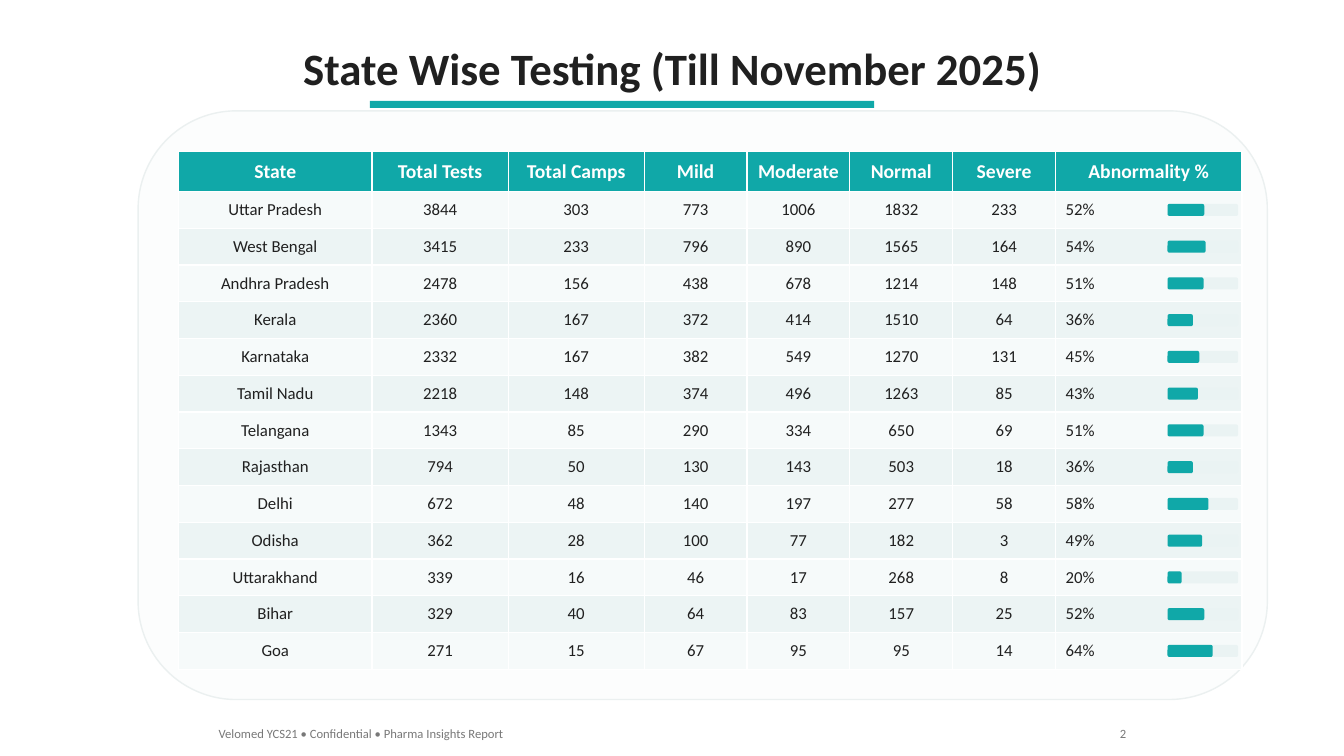
from pptx import Presentation
from pptx.dml.color import RGBColor
from pptx.enum.shapes import MSO_SHAPE
from pptx.enum.text import MSO_ANCHOR, MSO_AUTO_SIZE, PP_ALIGN
from pptx.util import Pt

EMU_PER_PX = 9144
FONT = "Calibri"
TEAL = RGBColor(0x10, 0xA8, 0xA8)
WHITE = RGBColor(0xFF, 0xFF, 0xFF)
INK = RGBColor(0x20, 0x20, 0x20)
GREY = RGBColor(0x78, 0x78, 0x78)
CARD = RGBColor(0xFC, 0xFD, 0xFD)
CARD_EDGE = RGBColor(0xEB, 0xF0, 0xF0)
TRACK = RGBColor(0xEA, 0xF3, 0xF3)
STRIPES = (RGBColor(0xF6, 0xFA, 0xFA), RGBColor(0xEC, 0xF4, 0xF4))

TABLE_LEFT, TABLE_TOP = 177, 150
HEADER_HEIGHT, BODY_HEIGHT = 40, 474
COLUMN_WIDTHS = (192, 135, 135, 102, 102, 102, 102, 185)
BAR_LEFT, BAR_WIDTH, BAR_HEIGHT = 1158, 70, 12

HEADINGS = ("State", "Total Tests", "Total Camps", "Mild", "Moderate",
            "Normal", "Severe", "Abnormality %")
STATES = (
    ("Uttar Pradesh", 3844, 303, 773, 1006, 1832, 233, 52),
    ("West Bengal", 3415, 233, 796, 890, 1565, 164, 54),
    ("Andhra Pradesh", 2478, 156, 438, 678, 1214, 148, 51),
    ("Kerala", 2360, 167, 372, 414, 1510, 64, 36),
    ("Karnataka", 2332, 167, 382, 549, 1270, 131, 45),
    ("Tamil Nadu", 2218, 148, 374, 496, 1263, 85, 43),
    ("Telangana", 1343, 85, 290, 334, 650, 69, 51),
    ("Rajasthan", 794, 50, 130, 143, 503, 18, 36),
    ("Delhi", 672, 48, 140, 197, 277, 58, 58),
    ("Odisha", 362, 28, 100, 77, 182, 3, 49),
    ("Uttarakhand", 339, 16, 46, 17, 268, 8, 20),
    ("Bihar", 329, 40, 64, 83, 157, 25, 52),
    ("Goa", 271, 15, 67, 95, 95, 14, 64),
)


def px(length):
    return round(length * EMU_PER_PX)


class PageBuilder:
    def __init__(self, deck, font):
        self.font = font
        self.page = deck.slides.add_slide(deck.slide_layouts[5])

    def add_text(self, frame, text, size, color, bold=False, align=PP_ALIGN.CENTER):
        para = frame.paragraphs[0]
        para.alignment = align
        span = para.add_run()
        span.text = text
        values = {"name": self.font, "size": Pt(size), "bold": bold}
        for name, value in values.items():
            setattr(span.font, name, value)
        span.font.color.rgb = color

    def fit(self, frame):
        values = {"word_wrap": False, "vertical_anchor": MSO_ANCHOR.TOP,
                  "auto_size": MSO_AUTO_SIZE.SHAPE_TO_FIT_TEXT}
        for name, value in values.items():
            setattr(frame, name, value)

    def title(self, text, left, top, width, height):
        box = self.page.shapes.title
        values = {"left": left, "top": top, "width": width, "height": height}
        for name, value in values.items():
            setattr(box, name, px(value))
        self.fit(box.text_frame)
        self.add_text(box.text_frame, text, 32, INK, bold=True)

    def label(self, text, left, top, width, height, align):
        box = self.page.shapes.add_textbox(px(left), px(top), px(width), px(height))
        self.fit(box.text_frame)
        self.add_text(box.text_frame, text, 9, GREY, align=align)

    def shape(self, kind, left, top, width, height, fill, edge=None):
        shape = self.page.shapes.add_shape(
            kind, px(left), px(top), px(width), px(height))
        shape.shadow.inherit = False
        shape.fill.solid()
        shape.fill.fore_color.rgb = fill
        if edge is None:
            shape.line.fill.background()
        else:
            shape.line.color.rgb = edge
            shape.line.width = Pt(1)

    def cell(self, cell, text, fill, **text_format):
        cell.fill.solid()
        cell.fill.fore_color.rgb = fill
        cell.vertical_anchor = MSO_ANCHOR.MIDDLE
        self.add_text(cell.text_frame, text, **text_format)

    def table(self, left, top, widths, header_height, row_height):
        height = header_height + row_height * len(STATES)
        table = self.page.shapes.add_table(
            len(STATES) + 1, len(widths),
            px(left), px(top), px(sum(widths)), px(height)).table
        for column, width in zip(table.columns, widths):
            column.width = px(width)
        for index, row in enumerate(table.rows):
            row.height = px(row_height if index else header_height)
        for column, heading in enumerate(HEADINGS):
            self.cell(table.cell(0, column), heading, TEAL,
                      size=14, color=WHITE, bold=True)
        for index, (*values, percent) in enumerate(STATES):
            fill = STRIPES[index % 2]
            for column, value in enumerate(values):
                self.cell(table.cell(index + 1, column), str(value), fill,
                          size=12, color=INK)
            self.cell(table.cell(index + 1, len(values)), f"{percent}%", fill,
                      size=12, color=INK, align=PP_ALIGN.LEFT)

    def bar(self, top, percent):
        for width, fill in ((BAR_WIDTH, TRACK), (BAR_WIDTH * percent / 100, TEAL)):
            self.shape(MSO_SHAPE.ROUNDED_RECTANGLE, BAR_LEFT, top,
                       width, BAR_HEIGHT, fill)


def main():
    deck = Presentation()
    deck.slide_width, deck.slide_height = px(1333), px(750)
    builder = PageBuilder(deck, FONT)
    builder.title("State Wise Testing (Till November 2025)", 287, 35, 760, 64)
    builder.shape(MSO_SHAPE.RECTANGLE, 367, 100, 500, 7, TEAL)
    builder.shape(MSO_SHAPE.ROUNDED_RECTANGLE, 137, 110, 1120, 584, CARD, CARD_EDGE)

    row_height = BODY_HEIGHT / len(STATES)
    builder.table(TABLE_LEFT, TABLE_TOP, COLUMN_WIDTHS, HEADER_HEIGHT, row_height)
    first_bar = TABLE_TOP + HEADER_HEIGHT + (row_height - BAR_HEIGHT) / 2
    for index, state in enumerate(STATES):
        builder.bar(first_bar + index * row_height, state[-1])

    builder.label("Velomed YCS21 • Confidential • Pharma Insights Report",
                  207, 715, 305, 25, PP_ALIGN.LEFT)
    builder.label("2", 1100, 715, 27, 25, PP_ALIGN.RIGHT)
    deck.save("out.pptx")


if __name__ == "__main__":
    main()
